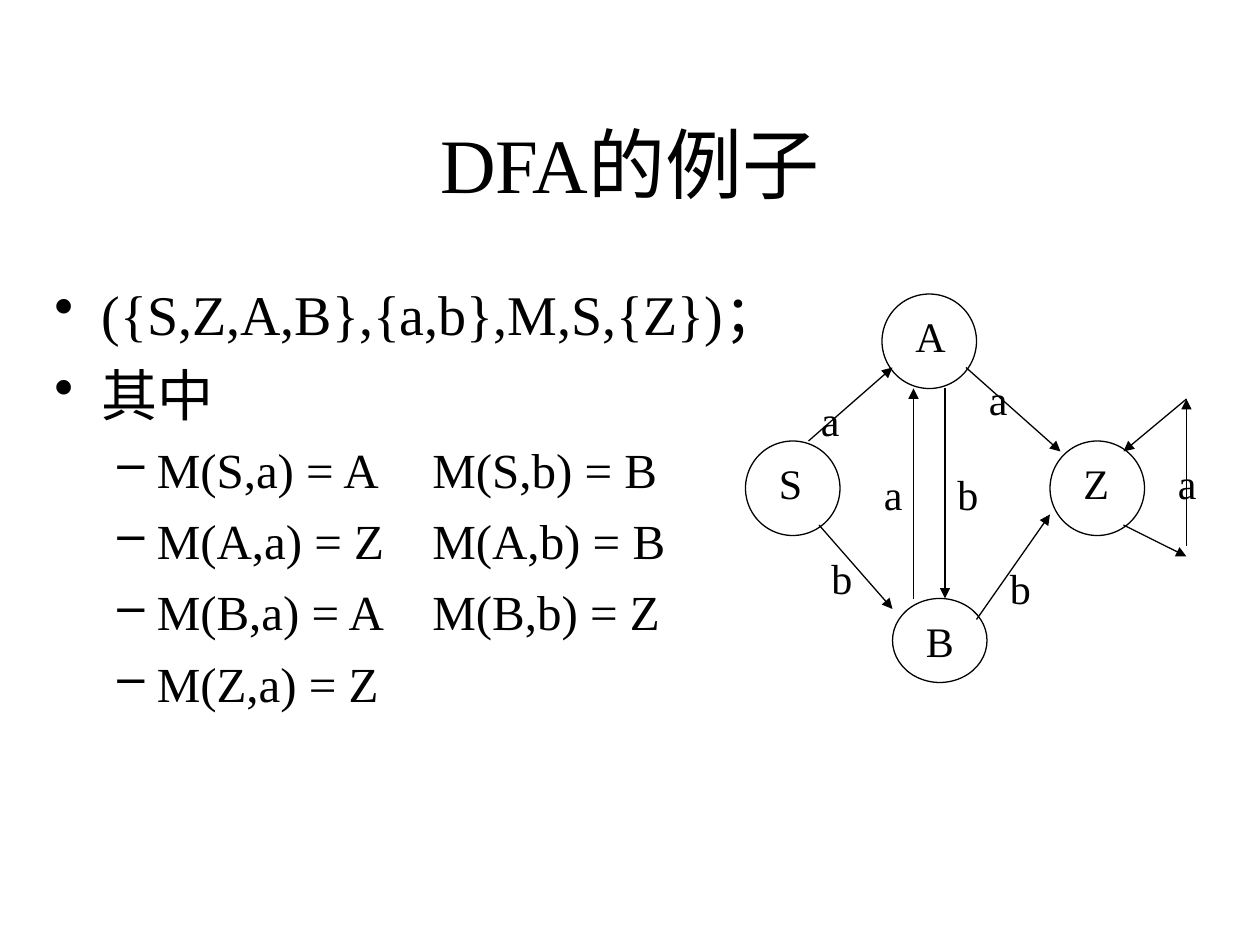
from dataclasses import dataclass

from lxml import etree
from pptx import Presentation
from pptx import util as u
from pptx.dml import color
from pptx.enum import shapes, text
from pptx.oxml import ns

EMU_PER_PX = 9525
LABEL_HEIGHT = 48


@dataclass(frozen=True)
class Theme:
    ink: color.RGBColor = color.RGBColor(0, 0, 0)
    font: str = "Times New Roman"
    title_size: int = 44
    item_size: int = 32
    subitem_size: int = 28
    label_size: int = 24
    stroke: float = 0.75


@dataclass(frozen=True)
class State:
    left: int
    top: int
    height: int = 72
    width: int = 72


@dataclass(frozen=True)
class Label:
    words: str
    left: int
    top: int
    width: int


@dataclass(frozen=True)
class Arrow:
    x1: int
    y1: int
    x2: int
    y2: int


@dataclass(frozen=True)
class Level:
    bullet: str
    size: int
    margin: int
    hanging: int
    before: int


THEME = Theme()
ITEM = Level("•", THEME.item_size, 36, 36, 8)
SUBITEM = Level("–", THEME.subitem_size, 78, 30, 7)
SECOND_COLUMN = 288

DEFINITION = [
    ("({S,Z,A,B},{a,b},M,S,{Z})；", ITEM),
    ("其中", ITEM),
    ("M(S,a) = A\tM(S,b) = B", SUBITEM),
    ("M(A,a) = Z\tM(A,b) = B", SUBITEM),
    ("M(B,a) = A\tM(B,b) = Z", SUBITEM),
    ("M(Z,a) = Z", SUBITEM),
]
STATES = [State(672, 224), State(680, 456, height=64), State(568, 336), State(800, 336)]
STATE_NAMES = [
    Label("S", 584, 344, 48),
    Label("A", 688, 232, 48),
    Label("B", 696, 464, 40),
    Label("Z", 816, 344, 48),
]
TRANSITIONS = [
    Arrow(696, 456, 696, 296),
    Arrow(720, 296, 720, 456),
    Arrow(616, 336, 680, 280),
    Arrow(624, 400, 680, 464),
    Arrow(736, 280, 808, 344),
    Arrow(744, 472, 800, 392),
    Arrow(856, 400, 904, 424),
    Arrow(904, 416, 904, 304),
    Arrow(904, 304, 856, 344),
]
INPUTS = [
    Label("a", 616, 296, 56),
    Label("b", 624, 416, 56),
    Label("a", 664, 352, 48),
    Label("b", 720, 352, 48),
    Label("a", 744, 280, 80),
    Label("b", 760, 424, 64),
    Label("a", 888, 344, 72),
]


def px(*lengths: int) -> list[u.Emu]:
    return [u.Emu(length * EMU_PER_PX) for length in lengths]


def write(paragraph, words: str, *, size: int, before: int = 0, align=text.PP_ALIGN.LEFT) -> None:
    paragraph.alignment = align
    paragraph.space_before = u.Pt(before)
    run = paragraph.add_run()
    run.text = words
    run.font.size = u.Pt(size)
    run.font.name = THEME.font
    run.font.color.rgb = THEME.ink


def add_frame(parent, left: int, top: int, width: int, height: int):
    frame = parent.add_textbox(*px(left, top, width, height)).text_frame
    frame.word_wrap = True
    return frame


def set_bullet(paragraph, level: Level) -> None:
    properties = paragraph._p.get_or_add_pPr()
    margin, indent, column = px(level.margin, -level.hanging, SECOND_COLUMN)
    properties.set("marL", str(margin))
    properties.set("indent", str(indent))
    etree.SubElement(properties, ns.qn("a:buChar"), char=level.bullet)
    stops = etree.SubElement(properties, ns.qn("a:tabLst"))
    etree.SubElement(stops, ns.qn("a:tab"), pos=str(column), algn="l")


def draw_title(parent) -> None:
    frame = add_frame(parent, 72, 64, 816, 120)
    frame.vertical_anchor = text.MSO_ANCHOR.MIDDLE
    write(frame.paragraphs[0], "DFA的例子", size=THEME.title_size, align=text.PP_ALIGN.CENTER)


def draw_definition(parent) -> None:
    frame = add_frame(parent, 32, 208, 584, 432)
    for index, (words, level) in enumerate(DEFINITION):
        paragraph = frame.add_paragraph() if index else frame.paragraphs[0]
        paragraph.level = int(level is SUBITEM)
        write(paragraph, words, size=level.size, before=level.before)
        set_bullet(paragraph, level)


def draw_state(parent, state: State) -> None:
    circle = parent.add_shape(
        shapes.MSO_SHAPE.OVAL, *px(state.left, state.top, state.width, state.height)
    )
    circle.shadow.inherit = False
    circle.fill.background()
    circle.line.color.rgb = THEME.ink
    circle.line.width = u.Pt(THEME.stroke)


def draw_label(parent, label: Label) -> None:
    frame = add_frame(parent, label.left, label.top, label.width, LABEL_HEIGHT)
    frame.auto_size = text.MSO_AUTO_SIZE.SHAPE_TO_FIT_TEXT
    write(frame.paragraphs[0], label.words, size=THEME.label_size, before=15)


def draw_arrow(parent, arrow: Arrow) -> None:
    edge = parent.add_connector(
        shapes.MSO_CONNECTOR.STRAIGHT, *px(arrow.x1, arrow.y1, arrow.x2, arrow.y2)
    )
    edge.line.color.rgb = THEME.ink
    edge.line.width = u.Pt(THEME.stroke)
    etree.SubElement(edge.line._get_or_add_ln(), ns.qn("a:tailEnd"), type="triangle")
    etree.SubElement(edge._element.spPr, ns.qn("a:effectLst"))


def main() -> None:
    deck = Presentation()
    deck.slide_width, deck.slide_height = px(960, 720)
    slide = deck.slides.add_slide(deck.slide_layouts[6])
    draw_title(slide.shapes)
    draw_definition(slide.shapes)

    automaton = slide.shapes.add_group_shape().shapes
    for state in STATES:
        draw_state(automaton, state)
    for name in STATE_NAMES:
        draw_label(automaton, name)
    for transition in TRANSITIONS:
        draw_arrow(automaton, transition)
    for symbol in INPUTS:
        draw_label(automaton, symbol)
    deck.save("out.pptx")


if __name__ == "__main__":
    main()
